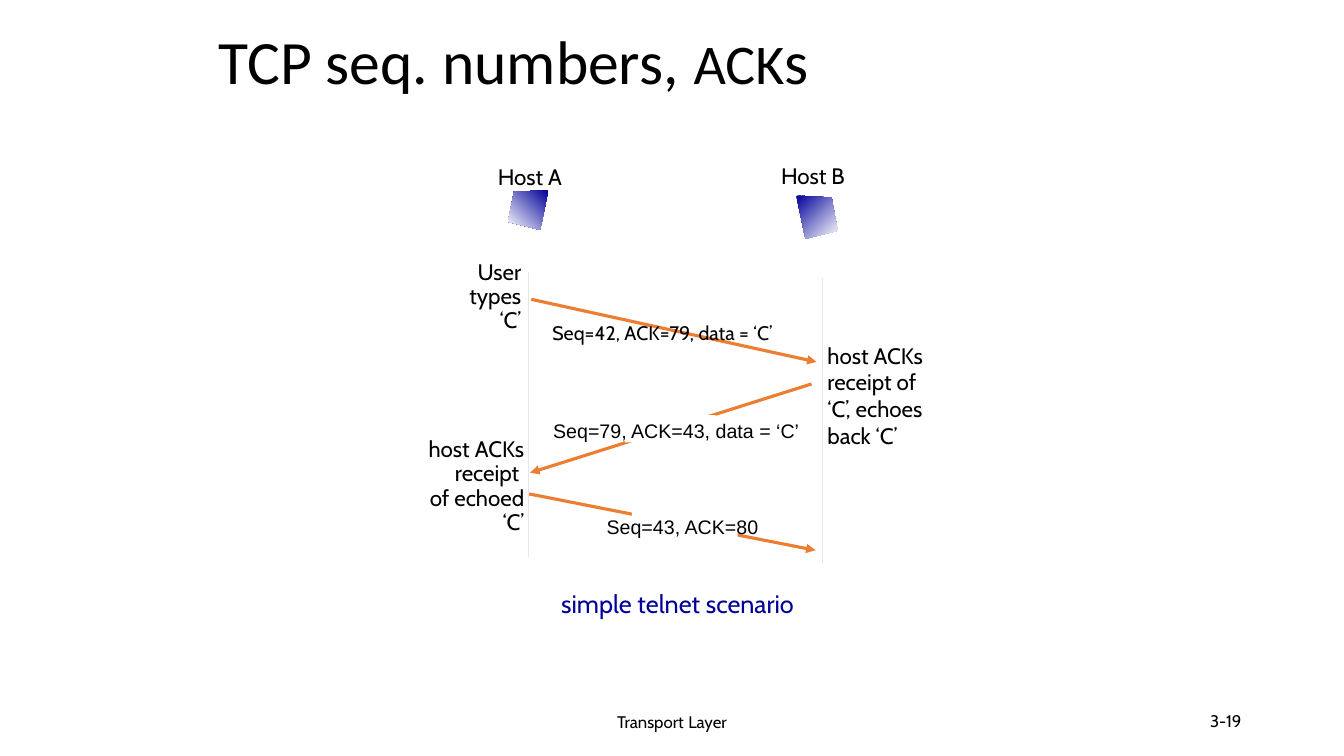
from dataclasses import dataclass

from lxml.etree import SubElement
from pptx import Presentation
from pptx.dml.color import RGBColor
from pptx.enum.shapes import MSO_CONNECTOR as Connector, MSO_SHAPE as Preset
from pptx.enum.text import MSO_ANCHOR as Anchor, MSO_AUTO_SIZE as AutoSize, PP_ALIGN as Align
from pptx.oxml.ns import qn
from pptx.util import Pt


@dataclass(frozen=True)
class Theme:
    black: RGBColor = RGBColor(0x00, 0x00, 0x00)
    white: RGBColor = RGBColor(0xFF, 0xFF, 0xFF)
    navy: RGBColor = RGBColor(0x00, 0x00, 0x99)
    orange: RGBColor = RGBColor(0xED, 0x7D, 0x31)
    grey: RGBColor = RGBColor(0xE7, 0xE6, 0xE6)
    heading: str = "Calibri"
    body: str = "Cabin"
    plain: str = "Arial"
    title: int = 44
    title_small: int = 40
    caption: int = 18
    label: int = 16
    segment: int = 14
    footer: int = 12


THEME = Theme()


def add_text(slide, box, paragraphs, size=THEME.label, font=THEME.body, color=THEME.black,
             align=Align.LEFT, spacing=None, wrap=False, anchor=Anchor.TOP):
    """Add a text box; each paragraph is a string or a list of (text, size) runs."""
    shape = slide.shapes.add_textbox(*map(Pt, box))
    frame = shape.text_frame
    frame.word_wrap = wrap
    frame.vertical_anchor = anchor
    frame.auto_size = AutoSize.SHAPE_TO_FIT_TEXT if anchor == Anchor.TOP else AutoSize.NONE
    for index, content in enumerate(paragraphs):
        paragraph = frame.add_paragraph() if index else frame.paragraphs[0]
        paragraph.alignment = align
        paragraph.line_spacing = spacing
        runs = [(content, size)] if isinstance(content, str) else content
        for text, run_size in runs:
            run = paragraph.add_run()
            run.text = text
            run.font.name = font
            run.font.size = Pt(run_size)
            run.font.color.rgb = color


def add_line(slide, start, end, color, width):
    line = slide.shapes.add_connector(Connector.STRAIGHT, *map(Pt, (*start, *end)))
    line.line.color.rgb = color
    line.line.width = Pt(width)
    SubElement(line._element.spPr, qn("a:effectLst"))
    return line


def add_arrow(slide, start, end):
    arrow = add_line(slide, start, end, THEME.orange, 2.25)
    SubElement(arrow.line._get_or_add_ln(), qn("a:tailEnd"), type="triangle")


def add_gap(slide, box):
    """Cover part of an arrow behind a segment label."""
    shape = slide.shapes.add_shape(Preset.RECTANGLE, *map(Pt, box))
    shape.shadow.inherit = False
    shape.fill.solid()
    shape.fill.fore_color.rgb = THEME.white
    shape.line.fill.background()


def add_host(slide, corners, angle):
    """Draw a host as a quadrilateral fading from navy to white."""
    first, *others = [(Pt(x), Pt(y)) for x, y in corners]
    builder = slide.shapes.build_freeform(*first, scale=1.0)
    builder.add_line_segments(others, close=True)
    shape = builder.convert_to_shape()
    shape.shadow.inherit = False
    shape.line.fill.background()
    shape.fill.gradient()
    shape.fill.gradient_angle = angle
    stops = zip(shape.fill.gradient_stops, (THEME.navy, THEME.white), (0, 1))
    for stop, color, position in stops:
        stop.color.rgb = color
        stop.position = position


def add_segment(slide, box, text, font=THEME.plain):
    add_text(slide, box, [text], THEME.segment, font)


def main():
    presentation = Presentation()
    presentation.slide_width, presentation.slide_height = Pt(960), Pt(540)
    slide = presentation.slides.add_slide(presentation.slide_layouts[6])

    footer = [("Transport", THEME.footer), (" ", THEME.segment), ("Layer", THEME.footer)]
    add_text(slide, (318, 500.5, 324, 28.75), [footer],
             align=Align.CENTER, wrap=True, anchor=Anchor.MIDDLE)
    add_text(slide, (678, 500.5, 216, 28.75), ["3-19"], THEME.footer,
             align=Align.RIGHT, wrap=True, anchor=Anchor.MIDDLE)

    add_arrow(slide, (378, 352.8), (582.5, 393.1))
    add_arrow(slide, (379.5, 213.8), (583.2, 258.5))

    title = [("TCP seq. numbers, ", THEME.title), ("ACK", THEME.title_small), ("s", THEME.title)]
    add_text(slide, (149, 11.5, 612, 69.8), [title], font=THEME.heading,
             spacing=0.9, wrap=True, anchor=Anchor.MIDDLE)

    add_text(slide, (315.4, 182.9, 64, 59), ["User", "types", "‘C’"],
             align=Align.RIGHT, spacing=0.9, wrap=True)
    add_text(slide, (296, 309.6, 85.6, 77), ["host ACKs", "receipt ", "of echoed", "‘C’"],
             align=Align.RIGHT, spacing=0.9)
    add_text(slide, (584, 240.5, 100, 85),
             ["host ACKs", "receipt of", "‘C’, echoes", "back ‘C’"])

    add_arrow(slide, (579.6, 274.3), (378.7, 337.7))
    add_text(slide, (393.8, 416.9, 187.2, 28.8), ["simple telnet scenario"],
             THEME.caption, color=THEME.navy)
    add_text(slide, (550.8, 112.3, 61.2, 26.6), ["Host B"])
    add_text(slide, (348.5, 113, 61.9, 26.6), ["Host A"])

    add_segment(slide, (387.4, 225.4, 200.9, 24.5), "Seq=42, ACK=79, data = ‘C’", THEME.body)
    add_gap(slide, (446.4, 296.6, 64.8, 19.4))
    add_segment(slide, (388, 296, 199.4, 24.5), "Seq=79, ACK=43, data = ‘C’")
    add_gap(slide, (451.4, 363.6, 75.6, 28))
    add_segment(slide, (426.2, 364.3, 123, 23.8), "Seq=43, ACK=80")

    for x, top in ((377.3, 194.4), (587.5, 198.7)):
        add_line(slide, (x, top), (x, top + 203.8), THEME.grey, 0.75)

    add_host(slide, [(391.7, 136), (367.2, 136.8), (362.9, 158.4), (385.9, 164.2)], 225)
    add_host(slide, [(568.8, 139.7), (594, 141.1), (598.3, 164.9), (575.3, 170.6)], 315)

    presentation.save("out.pptx")


if __name__ == "__main__":
    main()
